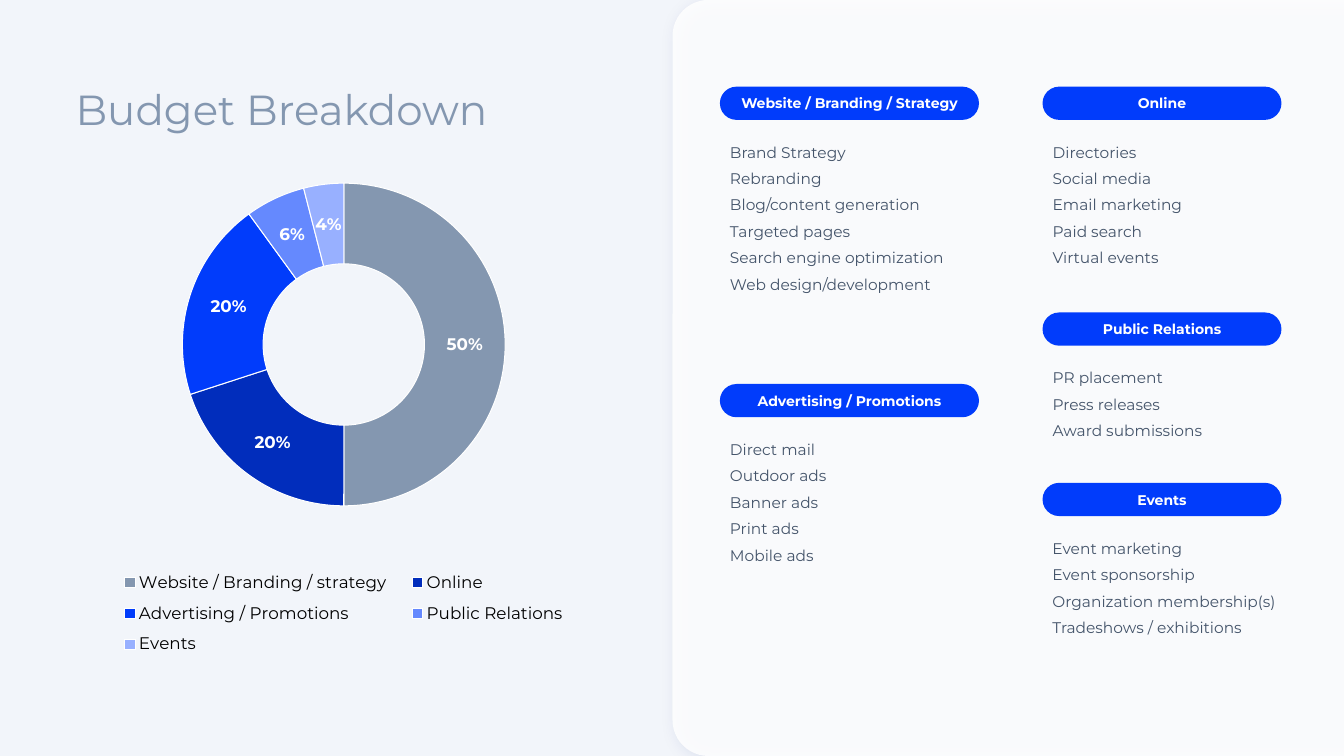
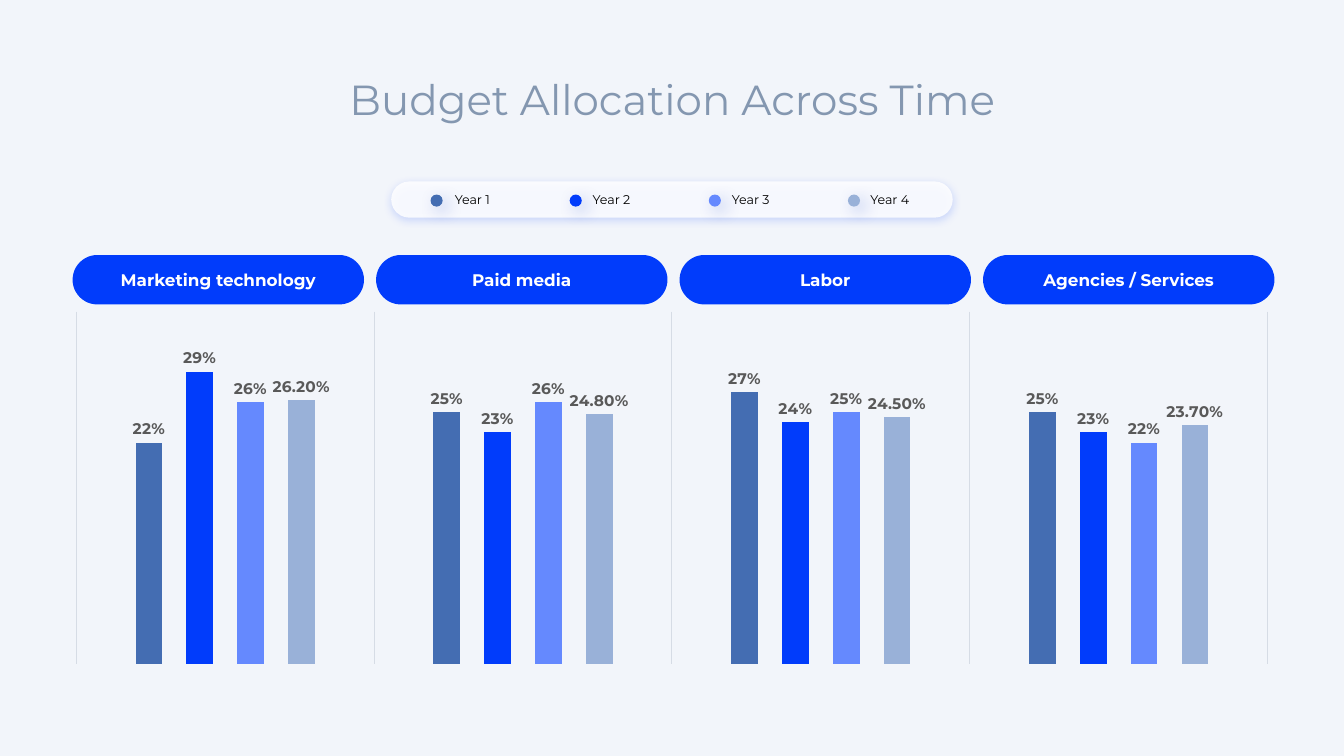
from pptx import Presentation
from pptx.chart.data import CategoryChartData
from pptx.dml.color import RGBColor
from pptx.enum.chart import XL_CHART_TYPE, XL_LABEL_POSITION, XL_LEGEND_POSITION
from pptx.enum.shapes import MSO_SHAPE
from pptx.enum.text import MSO_ANCHOR, MSO_AUTO_SIZE, PP_ALIGN
from pptx.oxml import parse_xml
from pptx.oxml.ns import nsdecls
from pptx.util import Inches, Pt

DOUGHNUT = XL_CHART_TYPE.DOUGHNUT
COLUMNS = XL_CHART_TYPE.COLUMN_CLUSTERED
OUTSIDE_END = XL_LABEL_POSITION.OUTSIDE_END
LEGEND_BOTTOM = XL_LEGEND_POSITION.BOTTOM
ROUNDED = MSO_SHAPE.ROUNDED_RECTANGLE
OVAL = MSO_SHAPE.OVAL
TOP, MIDDLE = MSO_ANCHOR.TOP, MSO_ANCHOR.MIDDLE
NO_AUTOFIT = MSO_AUTO_SIZE.NONE
LEFT, CENTER = PP_ALIGN.LEFT, PP_ALIGN.CENTER

TITLE_LAYOUT, LISTS_LAYOUT = 5, 4

COLORS = {
    "background": "F2F5FA",
    "title": "8497B0",
    "body": "44546A",
    "label": "595959",
    "grid": "D6DCE5",
    "white": "FFFFFF",
    "black": "000000",
    "slate": "8497B0",
    "navy": "012DBC",
    "blue": "013CFB",
    "sky": "6589FE",
    "pale": "98B0FF",
    "steel": "446DB2",
    "mist": "99B1D8",
    "shade": "001E7E",
}


def rgb(color):
    return RGBColor.from_string(COLORS[color])


def set_all(target, values):
    for attribute, value in values.items():
        setattr(target, attribute, value)


class Deck:
    font = "Montserrat"

    def __init__(self):
        self.prs = Presentation()
        set_all(self.prs, {"slide_width": Inches(13.33), "slide_height": Inches(7.5)})
        backdrop = self.prs.slide_master.background.fill
        backdrop.solid()
        backdrop.fore_color.rgb = rgb("background")
        self.slide = None
        self.list_slots = []

    def new_slide(self, layout):
        self.slide = self.prs.slides.add_slide(self.prs.slide_layouts[layout])
        self.list_slots = list(self.slide.placeholders)[1:]

    def style(self, font, size, color, bold=False):
        set_all(font, {"name": self.font, "size": Pt(size), "bold": bold})
        font.color.rgb = rgb(color)

    def place(self, shape, box):
        sides = ("left", "top", "width", "height")
        set_all(shape, dict(zip(sides, map(Inches, box))))

    def title(self, text, box, align=LEFT, spacing=None, wrap=True):
        heading = self.slide.shapes.title
        self.place(heading, box)
        frame = heading.text_frame
        frame.text = text
        set_all(frame, {"auto_size": NO_AUTOFIT, "word_wrap": wrap, "vertical_anchor": TOP})
        paragraph = frame.paragraphs[0]
        set_all(paragraph, {"alignment": align, "line_spacing": spacing})
        self.style(paragraph.font, 30, "title")

    def bullet_free_list(self, items, box):
        if self.list_slots:
            holder = self.list_slots.pop(0)
            self.place(holder, box)
        else:
            holder = self.slide.shapes.add_textbox(*map(Inches, box))
        frame = holder.text_frame
        frame.text = "\n".join(items)
        set_all(frame, {"auto_size": NO_AUTOFIT, "word_wrap": True, "vertical_anchor": TOP})
        for index, paragraph in enumerate(frame.paragraphs):
            properties = paragraph._p.get_or_add_pPr()
            properties.set("marL", "0")
            properties.set("indent", "0")
            properties.append(parse_xml(f"<a:buNone {nsdecls('a')}/>"))
            spacing = {"line_spacing": 1.2, "space_before": Pt(3 if index else 0)}
            set_all(paragraph, {"alignment": LEFT, **spacing})
            self.style(paragraph.font, 11, "body")

    def shape(self, kind, box, color, radius=None, alpha=None, shadow=None):
        shape = self.slide.shapes.add_shape(kind, *map(Inches, box))
        if radius is not None:
            shape.adjustments[0] = radius
        shape.fill.solid()
        shape.fill.fore_color.rgb = rgb(color)
        shape.line.fill.background()
        shape.shadow.inherit = False
        if alpha:
            tint = shape.element.xpath("./p:spPr/a:solidFill/a:srgbClr")[0]
            tint.append(parse_xml(f'<a:alpha {nsdecls("a")} val="{alpha * 1000}"/>'))
        if shadow:
            shade, opacity, blur, distance, angle = shadow
            shape.element.xpath("./p:spPr/a:effectLst")[0].append(parse_xml(
                f'<a:outerShdw {nsdecls("a")} blurRad="{Pt(blur)}" dist="{Pt(distance)}" '
                f'dir="{angle * 60000}" algn="ctr" rotWithShape="0">'
                f'<a:srgbClr val="{COLORS[shade]}"><a:alpha val="{opacity * 1000}"/>'
                '</a:srgbClr></a:outerShdw>'))
        return shape

    def centered_text(self, shape, text, size, color, bold=False):
        frame = shape.text_frame
        frame.text = text
        set_all(frame, {"word_wrap": True, "vertical_anchor": MIDDLE})
        frame.paragraphs[0].alignment = CENTER
        self.style(frame.paragraphs[0].font, size, color, bold)

    def pill(self, text, box, size):
        self.centered_text(self.shape(ROUNDED, box, "blue", 0.5), text, size, "white", True)

    def label(self, text, box):
        self.centered_text(self.slide.shapes.add_textbox(*map(Inches, box)), text, 9, "black")

    def panel(self, box):
        panel = self.shape(ROUNDED, box, "white", 0.05, 85, ("shade", 10, 11, 3, 45))
        panel.element.getparent().insert(2, panel.element)

    def chart(self, kind, box, categories, series):
        data = CategoryChartData()
        data.categories = categories
        for name, values in series:
            data.add_series(name, values)
        chart = self.slide.shapes.add_chart(kind, *map(Inches, box), data).chart
        chart.has_title = False
        set_all(chart.font, {"name": "Calibri", "size": Pt(10)})
        chart.font.color.rgb = rgb("black")
        return chart

    def chart_layout(self, chart, part, index, area, inner=True):
        element = chart.element.xpath(f"//c:{part}")[0]
        for old in element.xpath("./c:layout"):
            element.remove(old)
        target = '<c:layoutTarget val="inner"/>' if inner else ""
        modes = "".join(f'<c:{side}Mode val="edge"/>' for side in "xy")
        sizes = "".join(f'<c:{side} val="{value}"/>' for side, value in zip("xywh", area))
        element.insert(index, parse_xml(
            f"<c:layout {nsdecls('c')}><c:manualLayout>{target}{modes}{sizes}"
            "</c:manualLayout></c:layout>"))

    def data_labels(self, labels, size, color, number_format, **shown):
        self.style(labels.font, size, color, True)
        formats = {"number_format": number_format, "number_format_is_linked": False}
        set_all(labels, {**formats, **shown})

    def doughnut(self, box, shares, colors):
        chart = self.chart(DOUGHNUT, box, list(shares), [("Series 1", list(shares.values()))])
        plot = chart.plots[0]
        plot.vary_by_categories = True
        plot.has_data_labels = True
        self.data_labels(plot.data_labels, 12, "white", "0%",
                         show_percentage=True, show_value=False)
        for index, color in enumerate(colors):
            form = plot.series[0].points[index].format
            form.fill.solid()
            form.fill.fore_color.rgb = rgb(color)
            form.line.color.rgb = rgb("white")
            form.line.width = Pt(0.75)
        chart.element.xpath("//c:holeSize")[0].set("val", "66")
        chart.has_legend = True
        set_all(chart.legend, {"position": LEGEND_BOTTOM, "include_in_layout": False})
        self.style(chart.legend.font, 12, "black")
        self.chart_layout(chart, "plotArea", 0, (0.21, 0.08, 0.58, 0.6))
        self.chart_layout(chart, "legend", 1, (0.07, 0.78, 0.86, 0.19), inner=False)

    def columns(self, box, categories, series):
        chart = self.chart(COLUMNS, box, categories, [row[:2] for row in series])
        chart.has_legend = False
        plot = chart.plots[0]
        set_all(plot, {"gap_width": 444, "overlap": -90, "vary_by_categories": False})
        set_all(chart.value_axis, {"minimum_scale": 0, "maximum_scale": 0.35,
                                   "has_major_gridlines": False, "visible": False})
        set_all(chart.category_axis, {"has_major_gridlines": True, "visible": False})
        grid = chart.category_axis.major_gridlines.format.line
        grid.color.rgb = rgb("grid")
        grid.width = Pt(0.75)
        for bars, (_, _, color, number_format) in zip(plot.series, series):
            bars.format.fill.solid()
            bars.format.fill.fore_color.rgb = rgb(color)
            self.data_labels(bars.data_labels, 11, "label", number_format,
                             show_value=True, position=OUTSIDE_END)
        self.chart_layout(chart, "plotArea", 0, (0.02, 0.02, 0.96, 0.96))


def breakdown_slide(deck):
    deck.new_slide(LISTS_LAYOUT)
    deck.panel((6.67, 0, 7.11, 7.5))
    deck.title("Budget Breakdown", (0.65, 0.72, 4.97, 0.63), spacing=Pt(40))
    shares = {"Website / Branding / strategy": 50, "Online": 20,
              "Advertising / Promotions": 20, "Public Relations": 6, "Events": 4}
    deck.doughnut((0.65, 1.37, 5.52, 5.39), shares, ("slate", "navy", "blue", "sky", "pale"))

    left_column, right_column = (7.14, 2.57), (10.34, 2.37)
    groups = [
        ("Website / Branding / Strategy", left_column, 0.86,
         ["Brand Strategy", "Rebranding", "Blog/content generation", "Targeted pages",
          "Search engine optimization", "Web design/development"]),
        ("Advertising / Promotions", left_column, 3.81,
         ["Direct mail", "Outdoor ads", "Banner ads", "Print ads", "Mobile ads"]),
        ("Online", right_column, 0.86,
         ["Directories", "Social media", "Email marketing", "Paid search", "Virtual events"]),
        ("Public Relations", right_column, 3.1,
         ["PR placement", "Press releases", "Award submissions"]),
        ("Events", right_column, 4.79,
         ["Event marketing", "Event sponsorship", "Organization membership(s)",
          "Tradeshows / exhibitions"]),
    ]
    for heading, (left, width), top, items in groups:
        deck.pill(heading, (left, top, width, 0.33), 10)
        height = 0.04 + 0.27 * len(items)
        deck.bullet_free_list(items, (left, top + 0.47, 2.7, height))


def allocation_slide(deck):
    deck.new_slide(TITLE_LAYOUT)
    deck.title("Budget Allocation Across Time", (3.33, 0.68, 6.68, 0.61), CENTER, wrap=False)
    years = [
        ("Series 1", (0.22, 0.25, 0.27, 0.25), "steel", "0%"),
        ("Series 2", (0.29, 0.23, 0.24, 0.23), "blue", "0%"),
        ("Series 3", (0.26, 0.26, 0.25, 0.22), "sky", "0%"),
        ("Series 4", (0.262, 0.248, 0.245, 0.237), "mist", "0.00%"),
    ]
    deck.shape(ROUNDED, (3.88, 1.8, 5.57, 0.36), "white", 0.5, 85, ("blue", 20, 6, 2, 90))
    for index, (_, _, color, _) in enumerate(years):
        left = 4.27 + 1.38 * index
        deck.shape(OVAL, (left, 1.93, 0.12, 0.12), color, shadow=("navy", 25, 12, 5, 45))
        deck.label(f"Year {index + 1}", (left + 0.06, 1.8, 0.71, 0.36))

    areas = ["Marketing technology", "Paid media", "Labor", "Agencies / Services"]
    for index, area in enumerate(areas):
        deck.pill(area, (0.72 + 3.01 * index, 2.53, 2.89, 0.49), 12)
    deck.columns((0.51, 3.02, 12.31, 3.64), ["1", "2", "3", "4"], years)


def main():
    deck = Deck()
    breakdown_slide(deck)
    allocation_slide(deck)
    deck.prs.save("out.pptx")


if __name__ == "__main__":
    main()
